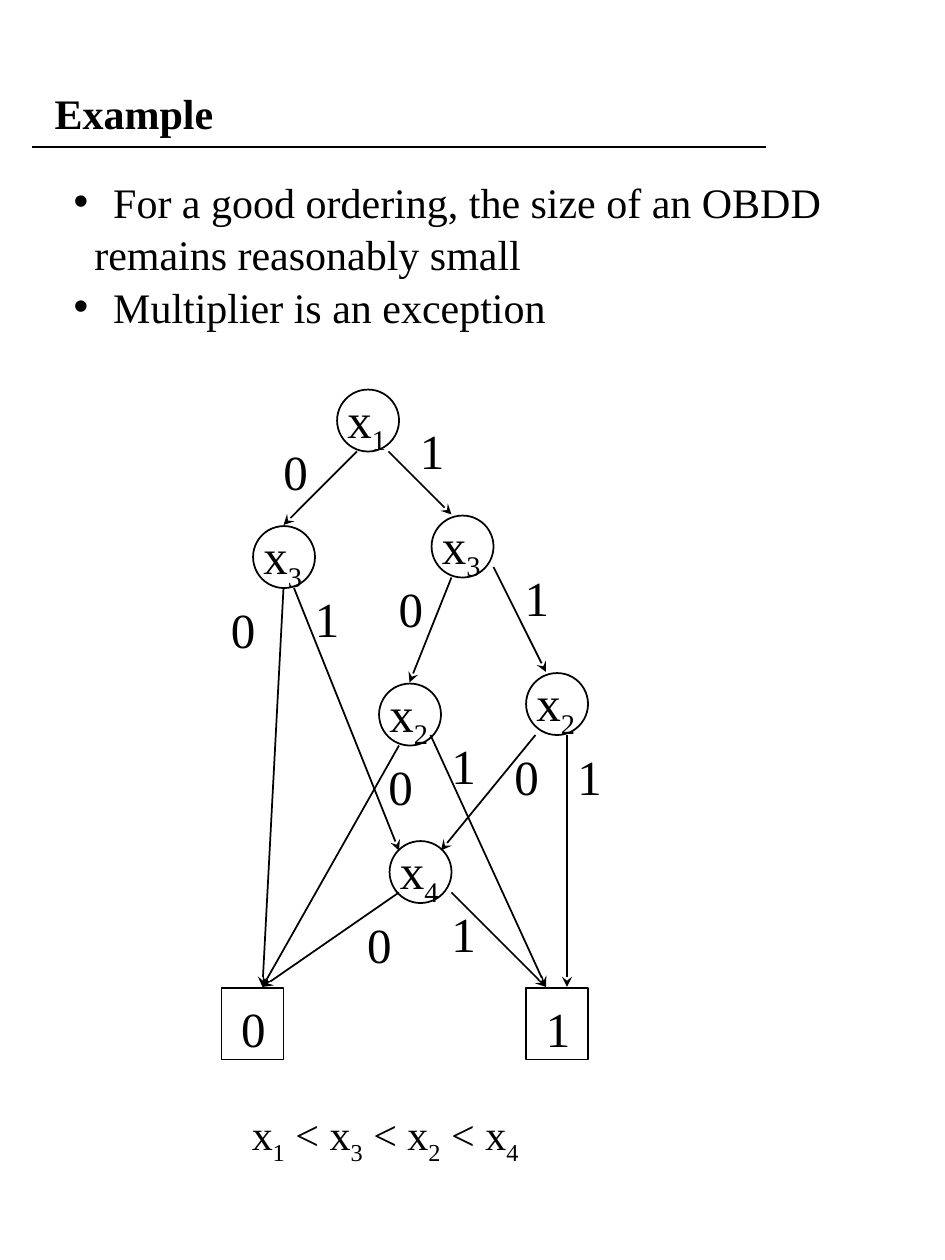
import pptx
import pptx.dml.color
import pptx.enum.shapes
import pptx.enum.text
import pptx.oxml
import pptx.oxml.ns
import pptx.util
from pptx.util import Cm

BLACK = pptx.dml.color.RGBColor(0, 0, 0)
WHITE = pptx.dml.color.RGBColor(255, 255, 255)
GRID = 2.54 / 12  # the drawing sits on a grid of twelve steps to the inch
NODE_SIZE = 5.9
SHAPES = pptx.enum.shapes.MSO_SHAPE
ANCHOR = pptx.enum.text.MSO_ANCHOR
NO_FIT = pptx.enum.text.MSO_AUTO_SIZE.NONE

# Grid positions: left, top
VARIABLES = [
    ("x_1", 32, 37),
    ("x_3", 24, 50), ("x_3", 41, 49),
    ("x_2", 36, 65), ("x_2", 50, 64),
    ("x_4", 37, 80),
]
TERMINALS = [("0", 21, 94), ("1", 50, 94)]
# Grid positions: start x, y, end x, y; then the branch value and its place
BRANCHES = [
    (34, 43, 27, 50, "0", 25.8, 41.5), (37, 43, 43, 49, "1", 38.8, 39.5),
    (27, 56, 25, 94, "0", 20.8, 56.5), (28, 56, 38, 81, "1", 28.8, 55.5),
    (43, 55, 39, 65, "0", 36.8, 54.5), (47, 54, 52, 64, "1", 48.8, 53.5),
    (38, 71, 25, 94, "0", 35.8, 71.5), (41, 70, 52, 94, "1", 41.8, 69.5),
    (51, 70, 42, 81, "0", 47.8, 70.5), (54, 70, 54, 94, "1", 53.8, 70.5),
    (38, 85, 25, 94, "0", 33.8, 86.5), (43, 85, 52, 94, "1", 41.8, 85.5),
]
POINTS = [  # text, bulleted
    ("For a good ordering, the size of an OBDD", True),
    ("remains reasonably small", False),
    ("Multiplier is an exception", True),
]


def steps(*counts):
    """Turn grid counts into lengths."""
    return [Cm(count * GRID) for count in counts]


def assign(target, values):
    for name, value in values.items():
        setattr(target, name, value)


class DiagramSlide:
    def __init__(self, slide, font_name="Times New Roman"):
        self.slide = slide
        self.font_name = font_name

    def add_text(self, paragraph, text, size, bold=False):
        """Add text in which "_" makes the next character a subscript."""
        plain, *marked = text.split("_")
        pieces = [(plain, False)]
        for part in marked:
            pieces += [(part[0], True), (part[1:], False)]
        for piece, subscript in pieces:
            if not piece:
                continue
            run = paragraph.add_run()
            run.text = piece
            assign(run.font, {"name": self.font_name, "bold": bold,
                              "size": pptx.util.Pt(size)})
            run.font.color.rgb = BLACK
            if subscript:
                run._r.get_or_add_rPr().set("baseline", "-25000")

    def place(self, placeholder, left, top, width, height, anchor):
        bounds = steps(left, top, width, height)
        assign(placeholder, dict(zip(("left", "top", "width", "height"), bounds)))
        assign(placeholder.text_frame, {"vertical_anchor": anchor,
                                        "word_wrap": True, "auto_size": NO_FIT})
        return placeholder.text_frame

    def title(self, text):
        frame = self.place(self.slide.shapes.title, 0, 0.7, 76.5, 20, ANCHOR.MIDDLE)
        frame.margin_left = Cm(1.1)
        heading = frame.paragraphs[0]
        heading.alignment = pptx.enum.text.PP_ALIGN.LEFT
        self.add_text(heading, text, 24, bold=True)

    def points(self, items):
        frame = self.place(self.slide.placeholders[1], 5.8, 16, 80.2, 15.6, ANCHOR.TOP)
        for index, (text, bulleted) in enumerate(items):
            point = frame.add_paragraph() if index else frame.paragraphs[0]
            assign(point, {"space_before": pptx.util.Pt(0), "line_spacing": 1.04})
            margin = Cm(0.8 if bulleted else 0.42)
            properties = point._p.get_or_add_pPr()
            properties.set("marL", str(margin))
            properties.set("indent", str(-margin if bulleted else 0))
            bullet = pptx.oxml.ns.qn("a:buChar" if bulleted else "a:buNone")
            element = properties.makeelement(bullet, {"char": "•"} if bulleted else {})
            properties.append(element)
            self.add_text(point, text, 24)

    def node(self, kind, left, top, height=NODE_SIZE):
        node = self.slide.shapes.add_shape(kind, *steps(left, top, NODE_SIZE, height))
        node.shadow.inherit = False
        node.fill.solid()
        node.fill.fore_color.rgb = WHITE
        node.line.color.rgb = BLACK
        node.line.width = pptx.util.Pt(1)

    def label(self, text, left, top, width=4.8, height=6.8, size=28):
        box = self.slide.shapes.add_textbox(*steps(left, top, width, height))
        box.text_frame.word_wrap = False
        self.add_text(box.text_frame.paragraphs[0], text, size)

    def line(self, *ends, arrow=False):
        line = self.slide.shapes.add_connector(
            pptx.enum.shapes.MSO_CONNECTOR.STRAIGHT, *steps(*ends))
        line.line.color.rgb = BLACK
        line.line.width = pptx.util.Pt(1)
        properties = line._element.spPr
        if arrow:
            outline = properties.find(pptx.oxml.ns.qn("a:ln"))
            outline.append(outline.makeelement(pptx.oxml.ns.qn("a:tailEnd"),
                                               {"type": "stealth"}))
        properties.append(properties.makeelement(pptx.oxml.ns.qn("a:effectLst"), {}))


def main():
    presentation = pptx.Presentation()
    assign(presentation, {"slide_width": Cm(19.05), "slide_height": Cm(25.4)})
    example = DiagramSlide(presentation.slides.add_slide(presentation.slide_layouts[1]))

    example.title("Example")
    example.line(3, 14, 73, 14)
    example.points(POINTS)

    for name, left, top in VARIABLES:
        example.node(SHAPES.OVAL, left + 0.1, top + 0.1)
    for value, left, top in TERMINALS:
        example.node(SHAPES.RECTANGLE, left + 0.1, top + 0.1, height=6.8)
    for *ends, value, left, top in BRANCHES:
        example.line(*ends, arrow=True)
        example.label(value, left, top)
    for name, left, top in VARIABLES:
        example.label(name, left - 0.1, top - 0.5, width=6.1, height=7.6)
    for value, left, top in TERMINALS:
        example.label(value, left + 0.8, top + 0.5)

    example.label("x_1 < x_3 < x_2 < x_4", 22.8, 105, width=27.8, height=6.7, size=24)
    presentation.save("out.pptx")


if __name__ == "__main__":
    main()
